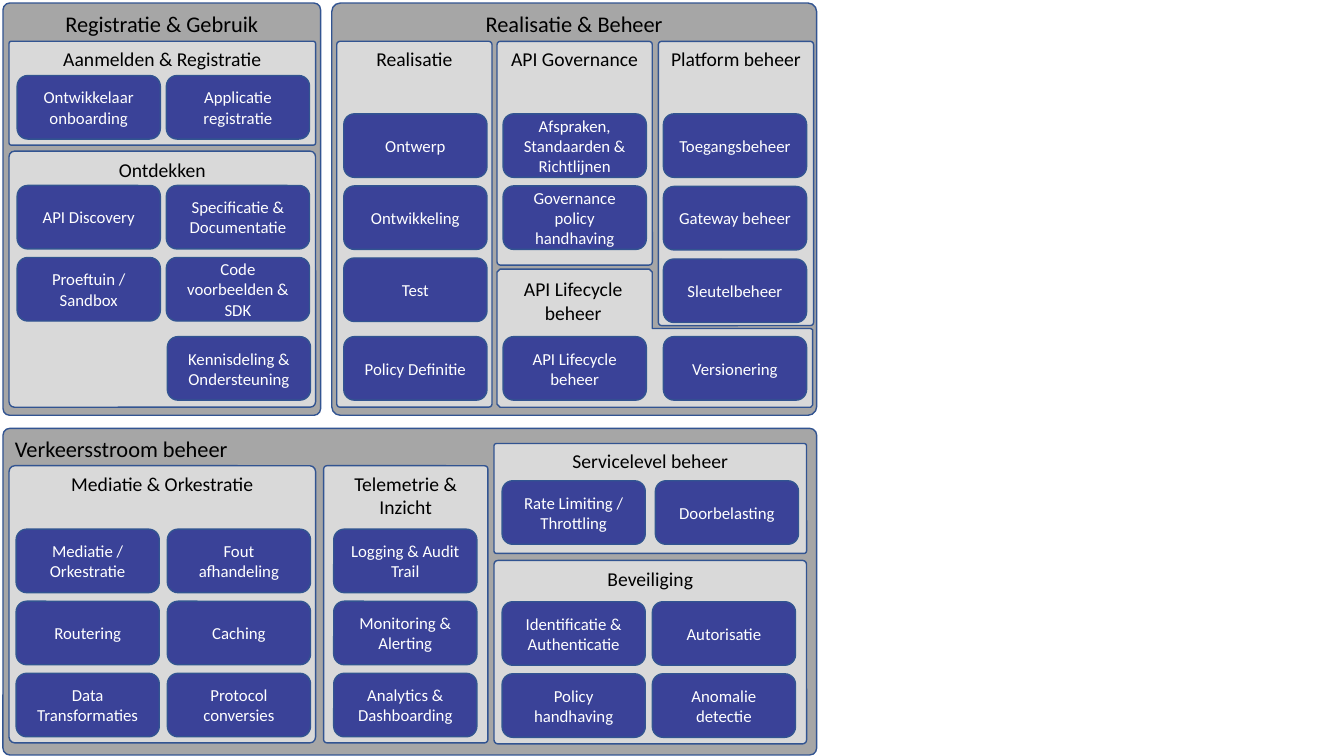
from pptx import Presentation
from pptx.dml.color import RGBColor as RGB
from pptx.enum.shapes import MSO_SHAPE as Kind
from pptx.enum.text import MSO_ANCHOR as Anchor, PP_ALIGN as Align
from pptx.util import Inches, Pt

COLORS = {"region": "A6A6A6", "card": "D9D9D9", "chip": "3A4298",
          "line": "325491", "dark": "000000", "light": "FFFFFF"}
FONT = "Calibri"
CHIP_W, CHIP_H = 1.42, 0.63
ROW = 0.715  # distance between the tops of two rows of chips
ROUND = 0.021


def color(name):
    return RGB.from_string(COLORS[name])


def paint(shape, fill):
    shape.shadow.inherit = False
    shape.fill.solid()
    shape.fill.fore_color.rgb = color(fill)
    shape.line.color.rgb = color("line")
    shape.line.width = Pt(1)


def write(shape, text, size, ink="dark", align=Align.CENTER, anchor=Anchor.TOP, wrap=True):
    frame = shape.text_frame
    frame.text = text
    frame.word_wrap = wrap
    frame.vertical_anchor = anchor
    for para in frame.paragraphs:
        para.alignment = align
        para.font.name = FONT
        para.font.size = Pt(size)
        para.font.color.rgb = color(ink)


def block(slide, box, fill):
    shape = slide.shapes.add_shape(Kind.ROUNDED_RECTANGLE, *map(Inches, box))
    paint(shape, fill)
    return shape


def region(slide, box, title, align=Align.CENTER):
    shape = block(slide, box, "region")
    shape.adjustments[0] = ROUND
    write(shape, title, 16, align=align)


def chips(slide, x, y, rows, step=1.48, pitch=ROW):
    """Place rows of chips from (x, y); None leaves a cell empty."""
    for r, row in enumerate(rows):
        for c, name in enumerate(row):
            if name:
                box = (x + c * step, y + r * pitch, CHIP_W, CHIP_H)
                write(block(slide, box, "chip"), name, 12, "light", anchor=Anchor.MIDDLE)


def card(slide, box, title, rows, left, top, **gaps):
    x, y = box[:2]
    shape = block(slide, box, "card")
    shape.adjustments[0] = ROUND
    write(shape, title, 14)
    chips(slide, x + left, y + top, rows, **gaps)


def lifecycle(slide, box):
    """Draw the L-shaped card that runs on below its right-hand neighbour."""
    x, y, w, h = box
    neck, step, cut = 1.54, 0.59, 0.03
    points = [(cut, 0), (neck - cut, 0), (neck, cut), (neck, step), (w - 0.02, step),
              (w, step + 0.01), (w, h - 0.02), (w - 0.02, h), (cut, h), (0, h - cut), (0, cut)]
    spots = [(Inches(x + dx), Inches(y + dy)) for dx, dy in points]
    build = slide.shapes.build_freeform(*spots[0])
    build.add_line_segments(spots[1:], close=True)
    paint(build.convert_to_shape(), "card")
    label = slide.shapes.add_textbox(*map(Inches, (x + 0.16, y + 0.03, 1.19, 0.57)))
    write(label, "API Lifecycle\nbeheer", 14, wrap=False)
    chips(slide, x + 0.06, y + 0.67, [["API Lifecycle beheer", "Versionering"]], step=1.59)


def usage(slide, box):
    x, y, w, h = box
    region(slide, box, "Registratie & Gebruik")
    left, wide = x + 0.06, w - 0.11
    card(slide, (left, y + 0.38, wide, 1.03), "Aanmelden & Registratie",
         [["Ontwikkelaar onboarding", "Applicatie registratie"]], 0.08, 0.34)
    card(slide, (left, y + 1.47, wide, 2.54), "Ontdekken",
         [["API Discovery", "Specificatie & Documentatie"],
          ["Proeftuin / Sandbox", "Code voorbeelden & SDK"]], 0.08, 0.34)
    chips(slide, x + 0.14, y + 3.31, [[None, "Kennisdeling & Ondersteuning"]], step=1.49)


def build(slide, box):
    x, y, w, h = box
    region(slide, box, "Realisatie & Beheer")
    top, wide = y + 0.38, 1.54
    card(slide, (x + 0.05, top, wide, 3.63), "Realisatie",
         [["Ontwerp"], ["Ontwikkeling"], ["Test"]], 0.07, 0.72)
    chips(slide, x + 0.12, y + 3.31, [["Policy Definitie"]])
    card(slide, (x + 1.64, top, wide, 2.22), "API Governance",
         [["Afspraken, Standaarden & Richtlijnen"], ["Governance policy handhaving"]], 0.06, 0.72)
    card(slide, (x + 3.24, top, wide, 2.82), "Platform beheer",
         [["Toegangsbeheer"], ["Gateway beheer"], ["Sleutelbeheer"]], 0.05, 0.72, pitch=0.72)
    lifecycle(slide, (x + 1.64, y + 2.64, 3.13, 1.37))


def traffic(slide, box):
    x, y, w, h = box
    region(slide, box, "Verkeersstroom beheer", Align.LEFT)
    top, tall = y + 0.37, 2.75
    card(slide, (x + 0.06, top, 3.04, tall), "Mediatie & Orkestratie",
         [["Mediatie / Orkestratie", "Fout\nafhandeling"],
          ["Routering", "Caching"],
          ["Data Transformaties", "Protocol conversies"]], 0.07, 0.63, step=1.5)
    card(slide, (x + 3.18, top, 1.63, tall), "Telemetrie & Inzicht",
         [["Logging & Audit Trail"], ["Monitoring & Alerting"],
          ["Analytics & Dashboarding"]], 0.1, 0.63)
    card(slide, (x + 4.87, y + 0.15, 3.1, 1.09), "Servicelevel beheer",
         [["Rate Limiting / Throttling", "Doorbelasting"]], 0.08, 0.37, step=1.52)
    card(slide, (x + 4.87, y + 1.31, 3.1, 1.82), "Beveiliging",
         [["Identificatie & Authenticatie", "Autorisatie"],
          ["Policy handhaving", "Anomalie detectie"]], 0.08, 0.41, step=1.49)


def main():
    deck = Presentation()
    deck.slide_width, deck.slide_height = Inches(13.33), Inches(7.5)
    slide = deck.slides.add_slide(deck.slide_layouts[6])
    usage(slide, (0.03, 0.03, 3.15, 4.09))
    build(slide, (3.29, 0.03, 4.81, 4.09))
    traffic(slide, (0.03, 4.25, 8.07, 3.24))
    deck.save("out.pptx")


if __name__ == "__main__":
    main()
